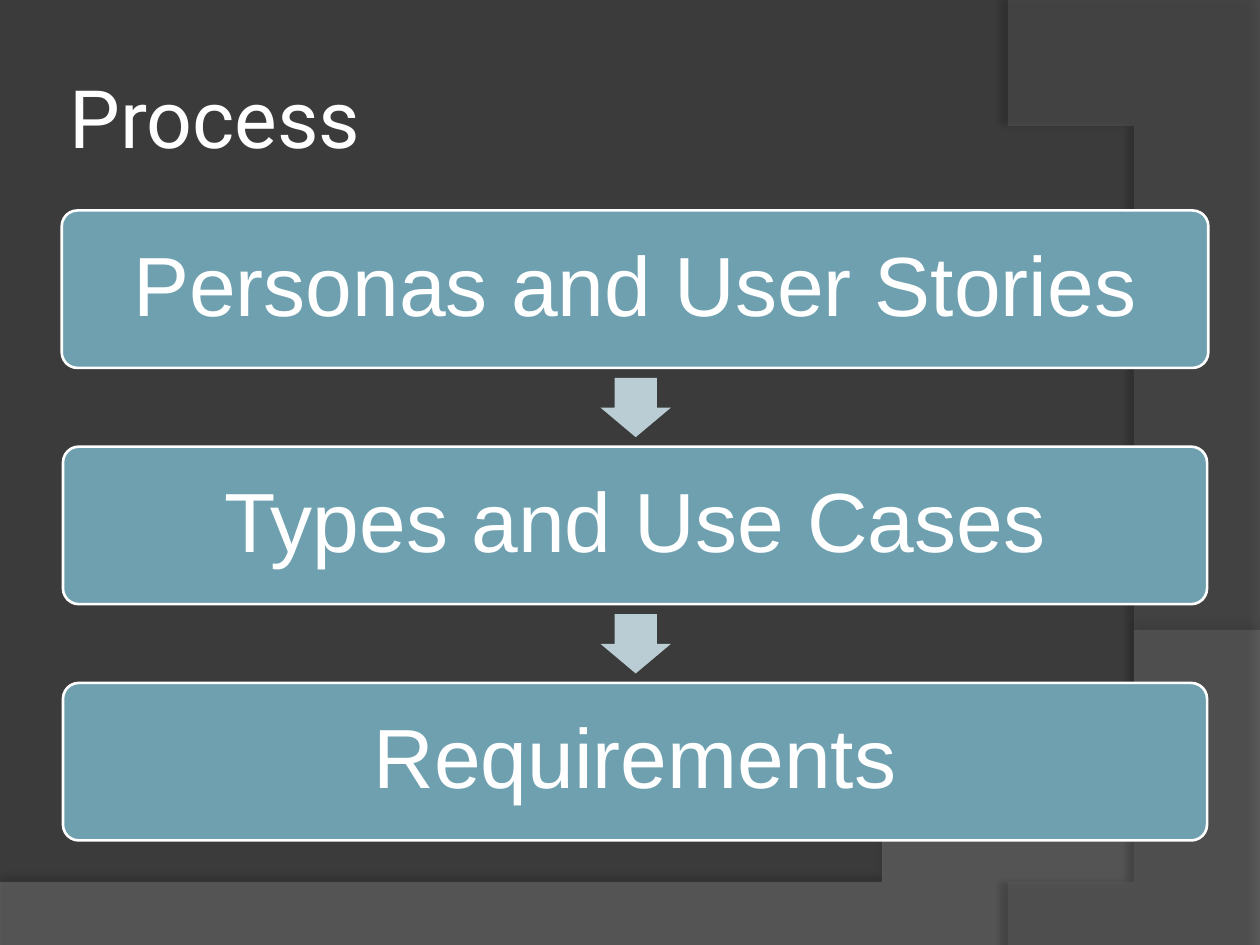
from lxml.etree import SubElement as Sub
from pptx import Presentation
from pptx.dml.color import RGBColor as RGB
from pptx.enum.shapes import MSO_SHAPE as Kind
from pptx.enum.text import MSO_ANCHOR as Anchor, PP_ALIGN as Align
from pptx.oxml.ns import qn
from pptx.util import Inches, Pt

HUES = {"back": "3B3B3B", "wave": "7F7F7F", "arc": "5E5E5E", "box": "6EA0B0",
        "arrow": "BACDD4", "white": "FFFFFF", "black": "000000"}


def hue(name):
    return RGB.from_string(HUES[name])


def write(frame, text, size=48, font="Arial", color="white",
          align=Align.CENTER, inset=0.2, lead=0.9):
    frame.word_wrap = True
    frame.vertical_anchor = Anchor.MIDDLE
    frame.margin_left = frame.margin_right = Inches(inset)
    frame.margin_top = frame.margin_bottom = Inches(inset)
    par = frame.paragraphs[0]
    par.alignment, par.line_spacing = align, lead
    run = par.add_run()
    run.text = text
    run.font.size, run.font.name = Pt(size), font
    run.font.color.rgb = hue(color)


def curve(a, b, c, d, steps=60):
    """Points on a cubic curve from a to d."""
    def at(t):
        u = 1 - t
        return tuple(u**3 * p + 3 * u * u * t * q + 3 * u * t * t * r + t**3 * s
                     for p, q, r, s in zip(a, b, c, d))
    return [at(i / steps) for i in range(steps + 1)]


class Deck:
    def __init__(self, wide, high):
        self.prs = Presentation()
        self.prs.slide_width, self.prs.slide_height = Inches(wide), Inches(high)
        self.slide = self.prs.slides.add_slide(self.prs.slide_layouts[5])
        self.shapes = self.slide.shapes
        fill = self.slide.background.fill
        fill.solid()
        fill.fore_color.rgb = hue("back")

    def paint(self, shape, fill, line=None):
        shape.shadow.inherit = False
        shape.fill.solid()
        shape.fill.fore_color.rgb = hue(fill)
        if line:
            shape.line.color.rgb = hue(line)
            shape.line.width = Pt(1.5)
        else:
            shape.line.fill.background()

    def swoosh(self, points, fill, alpha, shade, dist, angle):
        pen = self.shapes.build_freeform(*points[0], scale=Inches(1))
        pen.add_line_segments(points[1:], close=True)
        shape = pen.convert_to_shape()
        self.paint(shape, fill)
        # Transparency and soft edge shadow
        props = shape._element.spPr
        tint = props.find(qn("a:solidFill"))[0]
        Sub(tint, qn("a:alpha"), val=str(alpha * 1000))
        cast = Sub(props.find(qn("a:effectLst")), qn("a:outerShdw"),
                   blurRad=str(Pt(4)), dist=str(Pt(dist)),
                   dir=str(angle * 60000), algn="ctr", rotWithShape="0")
        dark = Sub(cast, qn("a:srgbClr"), val=HUES["black"])
        Sub(dark, qn("a:alpha"), val=str(shade * 1000))

    def title(self, text, x, y, w, h):
        head = self.shapes.title
        self.shapes._spTree.append(head._element)  # in front of the swooshes
        head.left, head.top, head.width, head.height = map(Inches, (x, y, w, h))
        write(head.text_frame, text, size=46, font="Roboto",
              align=Align.LEFT, inset=0.05, lead=1)

    def box(self, text, x, y, w, h):
        shape = self.shapes.add_shape(Kind.ROUNDED_RECTANGLE,
                                      *map(Inches, (x, y, w, h)))
        shape.adjustments[0] = 0.1
        self.paint(shape, "box", "white")
        write(shape.text_frame, text)

    def arrow(self, x, y, w, h):
        shape = self.shapes.add_shape(Kind.RIGHT_ARROW,
                                      *map(Inches, (x, y, w, h)))
        shape.rotation = 90
        shape.adjustments[0], shape.adjustments[1] = 0.6, 0.5
        self.paint(shape, "arrow")


deck = Deck(10, 7.5)

# Backdrop
wave = curve((10, 5.2), (5.59, 7.29), (3.91, 7.19), (0, 7.05))
deck.swoosh([(0, 7.5), (10, 7.5)] + wave, "wave", 45, 35, 3.5, 270)
arc = curve((8.21, 7.5), (9.35, 6.19), (10.18, 3), (8, 0))
deck.swoosh([(10, 0.02), (10, 7.5)] + arc, "arc", 40, 45, 4, 180)

# Heading
deck.title("Process", 0.5, 0.3, 8.17, 1.25)

# Steps, with an arrow between each pair
STEPS = ["Personas and User Stories", "Types and Use Cases", "Requirements"]
MID, TOP, PITCH, HIGH = 5.04, 1.67, 1.875, 1.25
for i, step in enumerate(STEPS):
    y = TOP + i * PITCH
    wide = 9.08 if i else 9.1
    if i:
        deck.arrow(MID - 0.23, y - 0.59, 0.47, 0.56)
    deck.box(step, MID - wide / 2, y, wide, HIGH)

deck.prs.save("out.pptx")
